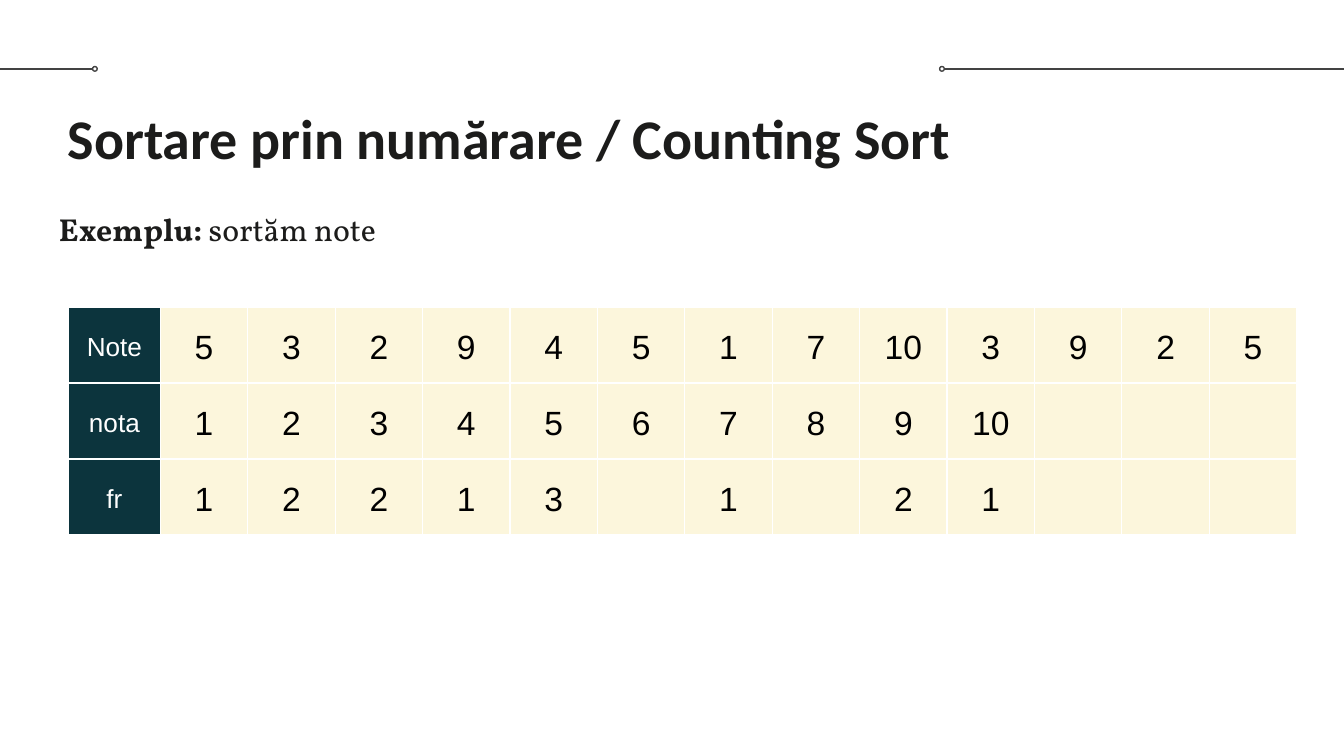
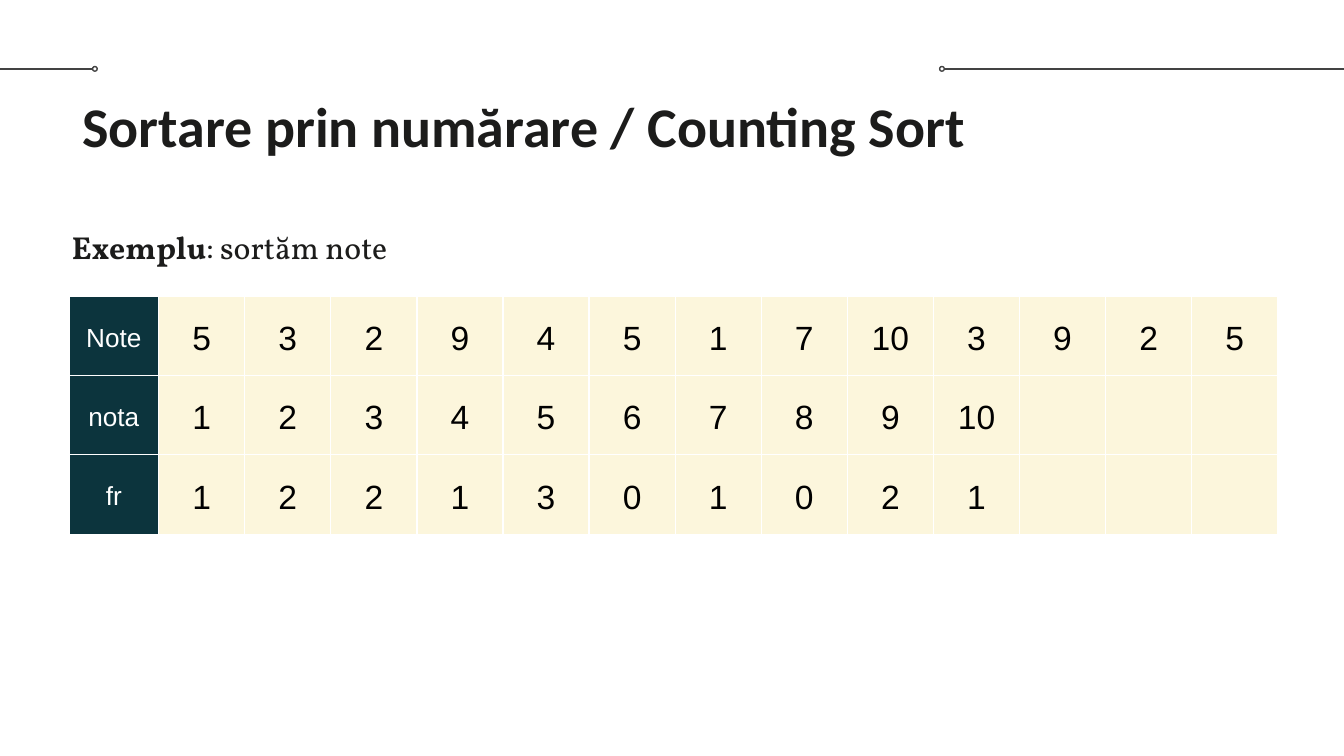
from lxml.etree import SubElement
from pptx import Presentation
from pptx.dml.color import RGBColor
from pptx.enum.shapes import MSO_CONNECTOR, MSO_SHAPE
from pptx.enum.text import MSO_ANCHOR, PP_ALIGN
from pptx.oxml.ns import qn
from pptx.util import Pt

COLORS = {"ink": "1C1C1B", "rule": "434343", "white": "FFFFFF",
          "head": "0C343D", "cell": "FCF6DC", "black": "000000"}
WIDTH, HEIGHT = 720, 405
RULE_Y, DOT = 36.9, 2.5
INSET = 7.2
TITLE = "Sortare prin numărare / Counting Sort"
GRADES = [5, 3, 2, 9, 4, 5, 1, 7, 10, 3, 9, 2, 5]


def color(name):
    """Return a palette colour."""
    return RGBColor.from_string(COLORS[name])


def style(font, name, size, fill, bold=None):
    """Set face, size, colour and weight of a font."""
    font.name, font.size, font.bold = name, Pt(size), bold
    font.color.rgb = color(fill)


def add_rule(s, x1, x2):
    """Draw one thin horizontal header rule."""
    line = s.shapes.add_connector(MSO_CONNECTOR.STRAIGHT, Pt(x1), Pt(RULE_Y), Pt(x2), Pt(RULE_Y))
    line.line.color.rgb = color("rule")
    line.line.width = Pt(0.75)
    SubElement(line._element.spPr, qn("a:effectLst"))


def add_dot(s, x):
    """Draw the small ring that ends a header rule."""
    sp = s.shapes.add_shape(MSO_SHAPE.OVAL, Pt(x), Pt(RULE_Y - DOT / 2), Pt(DOT), Pt(DOT))
    sp.shadow.inherit = False
    sp.fill.background()
    sp.line.color.rgb = color("rule")
    sp.line.width = Pt(0.75)


def add_header(s):
    """Draw the rules shared by all slides."""
    left, right = 49.6, 503.4
    add_rule(s, 0, left)
    add_dot(s, left)
    add_rule(s, right + DOT, WIDTH)
    add_dot(s, right)


def add_text(s, x, y, w, h, left=INSET, top=INSET):
    """Add a wrapping text box and return its first paragraph."""
    tf = s.shapes.add_textbox(Pt(x), Pt(y), Pt(w), Pt(h)).text_frame
    tf.word_wrap = True
    tf.margin_left, tf.margin_top = Pt(left), Pt(top)
    tf.margin_right = tf.margin_bottom = Pt(INSET)
    return tf.paragraphs[0]


def add_title(s, x, y):
    """Add the slide title."""
    p = add_text(s, x, y, 671, 55.4)
    p.text = TITLE
    style(p.font, "Calibri", 30, "ink", True)


def add_example(s, y, h, left, top, label, text):
    """Add the example line with its bold label."""
    p = add_text(s, 24.5, y, 671, h, left, top)
    p.line_spacing = 1.15
    p.space_after = Pt(12)
    for words, bold in ((label, True), (text, False)):
        r = p.add_run()
        r.text = words
        style(r.font, "Vollkorn", 17, "ink", bold)


def add_borders(cell):
    """Put thin white lines around a cell."""
    tcPr = cell._tc.get_or_add_tcPr()
    for i, side in enumerate(("lnL", "lnR", "lnT", "lnB")):
        ln = tcPr.makeelement(qn(f"a:{side}"), {"w": str(Pt(0.75))})
        fill = SubElement(ln, qn("a:solidFill"))
        SubElement(fill, qn("a:srgbClr"), val=COLORS["white"])
        tcPr.insert(i, ln)


def fill_cell(cell, value, head):
    """Fill one cell and write its value."""
    cell.fill.solid()
    cell.fill.fore_color.rgb = color("head" if head else "cell")
    add_borders(cell)
    cell.vertical_anchor = MSO_ANCHOR.MIDDLE
    cell.margin_left = cell.margin_right = cell.margin_top = cell.margin_bottom = Pt(INSET)
    p = cell.text_frame.paragraphs[0]
    p.text = str(value)
    p.alignment = PP_ALIGN.CENTER
    p.line_spacing = 1.15
    style(p.font, "Arial", 14 if head else 18, "white" if head else "black")


def add_counts(s, x, y, head_w, col_w, row_h, zero):
    """Add the table of grades and frequencies, showing zero counts as given."""
    n = len(GRADES)
    marks = range(1, 11)
    counts = [GRADES.count(m) or zero for m in marks]
    rows = [["Note", *GRADES], ["nota", *marks], ["fr", *counts]]
    tbl = s.shapes.add_table(len(rows), n + 1, Pt(x), Pt(y),
                             Pt(head_w + n * col_w), Pt(len(rows) * row_h)).table
    tbl.first_row = tbl.horz_banding = False
    for i, col in enumerate(tbl.columns):
        col.width = Pt(col_w if i else head_w)
    for i, values in enumerate(rows):
        tbl.rows[i].height = Pt(row_h)
        for j in range(n + 1):
            fill_cell(tbl.cell(i, j), values[j] if j < len(values) else "", j == 0)


def main():
    """Build both slides and save them."""
    prs = Presentation()
    prs.slide_width, prs.slide_height = Pt(WIDTH), Pt(HEIGHT)
    first, second = (prs.slides.add_slide(prs.slide_layouts[6]) for _ in range(2))

    add_header(first)
    add_title(first, 29.2, 48.3)
    add_example(first, 81.4, 305.3, INSET, 39.5, "Exemplu: ", "sortăm note")
    add_counts(first, 36.7, 164.5, 49.2, 46.85, 40.7, "")

    add_header(second)
    add_title(second, 37, 41.8)
    add_example(second, 111.6, 284.4, 14, INSET, "Exemplu", ": sortăm note")
    add_counts(second, 37, 158.7, 48, 46.12, 42.5, 0)

    prs.save("out.pptx")


if __name__ == "__main__":
    main()
